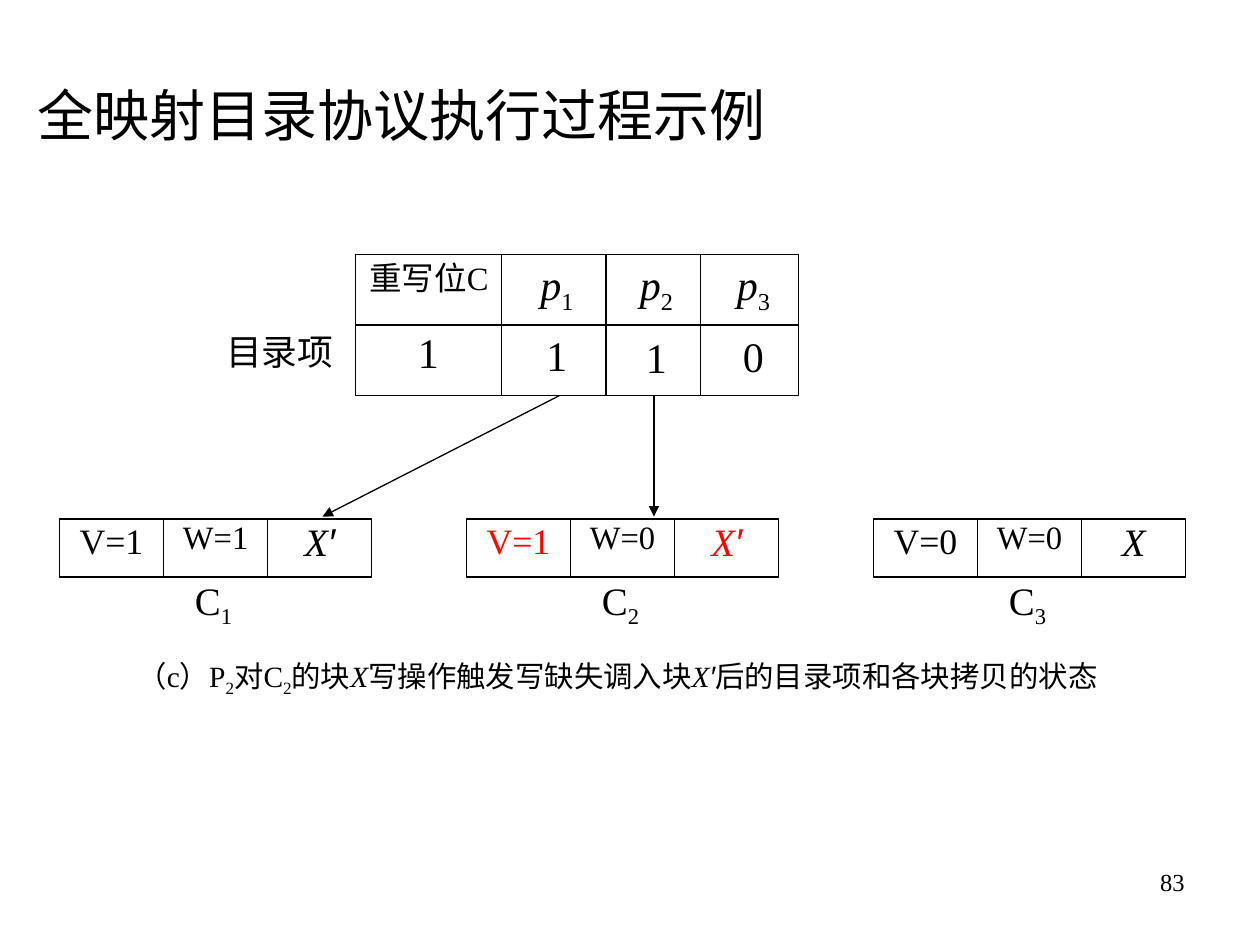
from typing import NamedTuple

from lxml import etree
from pptx import Presentation
from pptx import util as u
from pptx.dml.color import RGBColor
from pptx.enum import shapes, text as t
from pptx.oxml.ns import qn

COLORS = {"ink": "000000", "changed": "FF0000"}
LATIN, CJK, PRIME = "Times New Roman", "Noto Sans CJK SC", "Arial"


class Span(NamedTuple):
    text: str
    italic: bool = False
    sub: bool = False
    font: str = LATIN


class Column(NamedTuple):
    left: float
    label: list
    bit: str
    bit_top: float


class Cache(NamedTuple):
    valid: str
    written: str
    block: list
    color: str = "ink"


def sub(digit: str) -> Span:
    return Span(digit, sub=True)


X = Span("X", italic=True)
X_NEW = [X, Span("′", italic=True, font=PRIME)]

prs = Presentation()
prs.slide_width, prs.slide_height = u.Inches(10), u.Inches(7.5)
slide = prs.slides.add_slide(prs.slide_layouts[6])


def write(spans, left: float, top: float, width: float, height: float, *,
          size: float, color: str = "ink", align=t.PP_ALIGN.CENTER,
          anchor=t.MSO_ANCHOR.TOP, spacing: float = 1.0, inset: bool = False):
    """Add a text box; spans is a string or a list of Span."""
    box = slide.shapes.add_textbox(*map(u.Inches, (left, top, width, height)))
    frame = box.text_frame
    frame.word_wrap = True
    frame.vertical_anchor = anchor
    if not inset:
        frame.margin_left = frame.margin_right = 0
        frame.margin_top = frame.margin_bottom = 0
    paragraph = frame.paragraphs[0]
    paragraph.alignment = align
    paragraph.line_spacing = spacing
    for span in [Span(spans)] if isinstance(spans, str) else spans:
        run = paragraph.add_run()
        run.text = span.text
        font = run.font
        font.size, font.name, font.italic = u.Pt(size), span.font, span.italic
        font.color.rgb = RGBColor.from_string(COLORS[color])
        props = run._r.get_or_add_rPr()
        etree.SubElement(props, qn("a:ea")).set("typeface", CJK)
        if span.sub:
            props.set("baseline", "-25000")


def outline(left: float, top: float, width: float, height: float):
    frame = slide.shapes.add_shape(shapes.MSO_SHAPE.RECTANGLE,
                                   *map(u.Inches, (left, top, width, height)))
    frame.shadow.inherit = False
    frame.fill.background()
    frame.line.color.rgb = RGBColor.from_string(COLORS["ink"])
    frame.line.width = u.Pt(0.75)
    return frame


def line(x1: float, y1: float, x2: float, y2: float, arrow: bool = False):
    rule = slide.shapes.add_connector(shapes.MSO_CONNECTOR.STRAIGHT,
                                      *map(u.Inches, (x1, y1, x2, y2)))
    rule.line.color.rgb = RGBColor.from_string(COLORS["ink"])
    rule.line.width = u.Pt(0.75)
    if arrow:
        etree.SubElement(rule.line._get_or_add_ln(), qn("a:tailEnd")).set("type", "triangle")
    etree.SubElement(rule._element.spPr, qn("a:effectLst"))
    return rule


# Title
write("全映射目录协议执行过程示例", 0.2, 0.52, 9, 0.77, size=32,
      align=t.PP_ALIGN.LEFT, anchor=t.MSO_ANCHOR.MIDDLE, inset=True)

# Directory entry: grid, dirty bit and one presence bit per processor
ENTRY_LEFT, ENTRY_TOP, ENTRY_W, ENTRY_H = 2.82, 2.02, 3.52, 1.12
ENTRY_RIGHT, ENTRY_BOTTOM = ENTRY_LEFT + ENTRY_W, ENTRY_TOP + ENTRY_H
entry = outline(ENTRY_LEFT, ENTRY_TOP, ENTRY_W, ENTRY_H)
ENTRY_MIDDLE = ENTRY_TOP + ENTRY_H / 2
row_rule = line(ENTRY_LEFT, ENTRY_MIDDLE, ENTRY_RIGHT, ENTRY_MIDDLE)
row_rule.begin_connect(entry, 1)
row_rule.end_connect(entry, 3)
for divider in (3.98, 4.81, 5.56):
    line(divider, ENTRY_TOP, divider, ENTRY_BOTTOM)

write("重写位C", 2.87, 2.12, 1.07, 0.36, size=18.6, spacing=0.76)
write("1", 3.2, 2.65, 0.4, 0.36, size=24, spacing=0.86)
P = Span("p", italic=True)
presence = [
    Column(4.22, [P, sub("1")], "1", 2.67),
    Column(5.01, [P, sub("2")], "1", 2.69),
    Column(5.78, [P, sub("3")], "0", 2.68),
]
for column in presence:
    write(column.label, column.left, 2.12, 0.4, 0.36, size=24, spacing=0.72)
    write(column.bit, column.left, column.bit_top, 0.4, 0.36, size=24, spacing=0.86)
write("目录项", 1.78, 2.69, 0.88, 0.34, size=20.4, spacing=0.78)

# Cache blocks
CACHE_LEFT, CACHE_TOP, CACHE_STEP = 0.47, 4.12, 3.23
CACHE_W, CACHE_H = 2.48, 0.46
CELL_W = CACHE_W / 3
caches = [
    Cache("V=1", "W=1", X_NEW),
    Cache("V=1", "W=0", X_NEW, "changed"),
    Cache("V=0", "W=0", [X]),
]
for index, cache in enumerate(caches):
    left = CACHE_LEFT + index * CACHE_STEP
    outline(left, CACHE_TOP, CACHE_W, CACHE_H)
    for cell in (1, 2):
        divider = left + cell * CELL_W
        line(divider, CACHE_TOP, divider, CACHE_TOP + CACHE_H)
    cells = [
        (cache.valid, 20.4, 0.62, cache.color),
        (cache.written, 18.6, 0.52, "ink"),
        (cache.block, 22.2, 0.62, cache.color),
    ]
    for cell, (content, size, spacing, color) in enumerate(cells):
        write(content, left + 0.15 + cell * CELL_W, 4.23, 0.53, 0.26,
              size=size, spacing=spacing, color=color)
    write([Span("C"), sub(str(index + 1))], left + 1.01, 4.62, 0.43, 0.34,
          size=22.2, spacing=0.78)

# Pointers from the presence bits to the caches holding the block
for start, end in ((4.44, 2.56), (5.19, 5.19)):
    line(start, ENTRY_BOTTOM, end, 4.1, arrow=True)

# Caption
write([Span("（c）P"), sub("2"), Span("对C"), sub("2"), Span("的块"), X,
       Span("写操作触发写缺失调入块"), *X_NEW,
       Span("后的目录项和各块拷贝的状态")],
      0.43, 5.26, 8.94, 0.43, size=16.8, spacing=0.76)

# Slide number
write("83", 7.17, 6.83, 2.33, 0.52, size=14, align=t.PP_ALIGN.RIGHT, inset=True)

prs.save("out.pptx")
